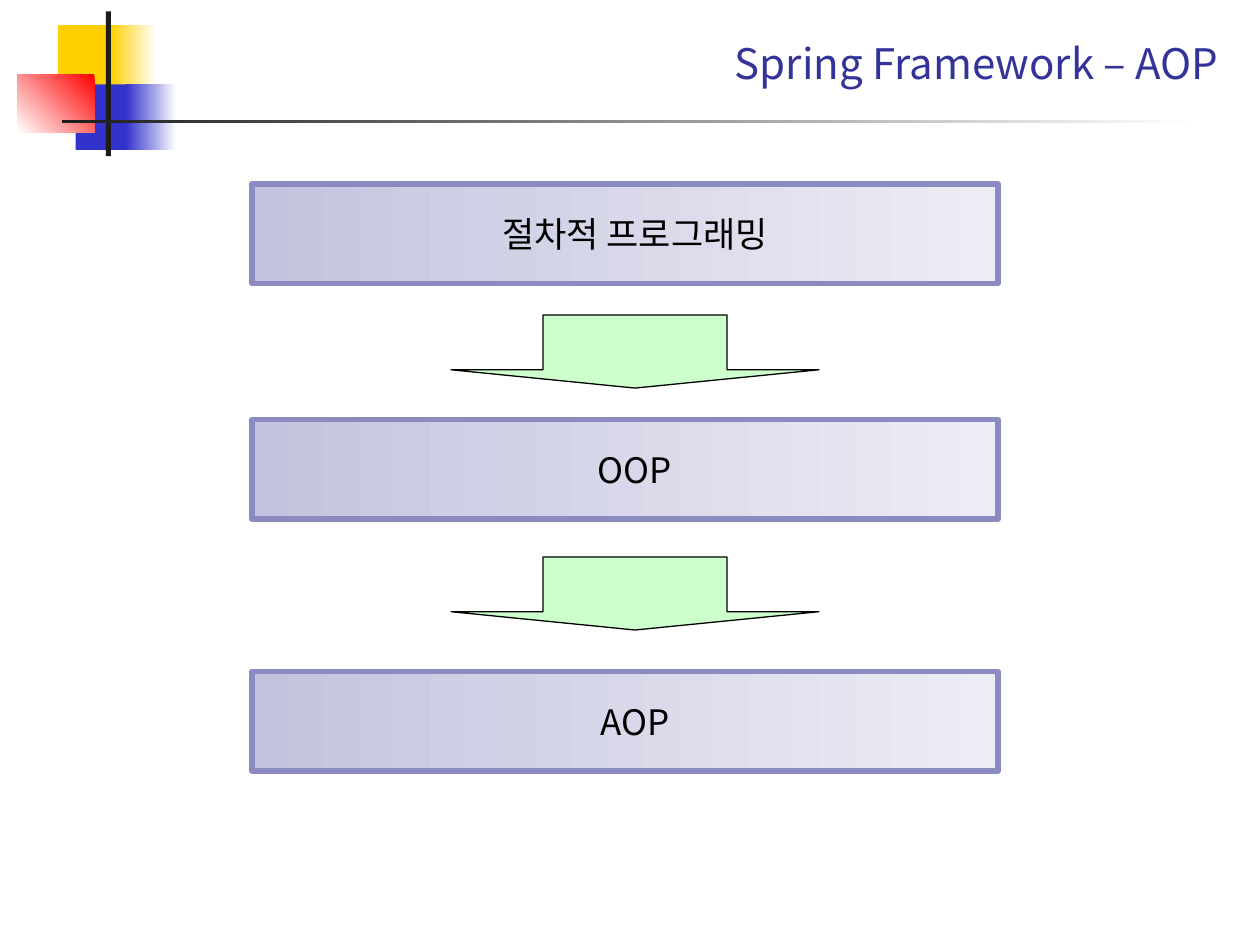
"""Build the slide that leads from procedural code through OOP to AOP."""
from lxml.etree import SubElement
from pptx import Presentation
from pptx.dml.color import RGBColor
from pptx.enum.shapes import MSO_SHAPE as Kind
from pptx.enum.text import MSO_ANCHOR as Anchor, PP_ALIGN as Align
from pptx.oxml.ns import qn
from pptx.util import Inches, Pt

FACE = "Noto Sans CJK KR"
hue = RGBColor.from_string


def draw(kind, spot, fill, turn=180):
    """Add a shape with a plain fill, or a blend when given two colours."""
    shape = deck.add_shape(kind, *map(Inches, spot))
    shape.shadow.inherit = False
    shape.line.fill.background()
    if isinstance(fill, str):
        shape.fill.solid()
        shape.fill.fore_color.rgb = hue(fill)
    else:
        shape.fill.gradient()
        shape.fill.gradient_angle = turn
        for stop, tone in zip(shape.fill.gradient_stops, fill):
            stop.color.rgb = hue(tone)
    return shape


def write(shape, text, size, tone, align, anchor, pads, wrap):
    """Set one line of text and its frame."""
    frame = shape.text_frame
    frame.text = text
    frame.word_wrap = wrap
    frame.vertical_anchor = anchor
    (frame.margin_left, frame.margin_top,
     frame.margin_right, frame.margin_bottom) = map(Inches, pads)
    para = frame.paragraphs[0]
    para.alignment = align
    para.font.size = Pt(size)
    para.font.color.rgb = hue(tone)
    para.font.name = FACE
    props = para._p.get_or_add_pPr().find(qn("a:defRPr"))
    SubElement(props, qn("a:ea"), typeface=FACE)


prs = Presentation()
prs.slide_width, prs.slide_height = Inches(10), Inches(7.5)
slide = prs.slides.add_slide(prs.slide_layouts[5])
deck = slide.shapes

for spot, fill, turn in [
    ((0.46, 0.2, 0.48, 0.52), "FFCF01", 180),
    ((0.88, 0.2, 0.36, 0.52), ("FFFFFF", "FFCF01"), 180),
    ((0.6, 0.67, 0.46, 0.52), "3333CC", 180),
    ((1, 0.67, 0.4, 0.52), ("FFFFFF", "3333CC"), 180),
    ((0.14, 0.59, 0.61, 0.46), ("FF0000", "FFFFFF"), 225),
    ((0.84, 0.09, 0.04, 1.15), "1C1C1C", 180),
    ((0.49, 0.95, 9, 0.03), ("FFFFFF", "1C1C1C"), 180),
]:
    draw(Kind.RECTANGLE, spot, fill, turn)

title = deck.title
title.left, title.top = Inches(1.25), Inches(0.17)
title.width, title.height = Inches(8.52), Inches(0.58)
write(title, "Spring Framework – AOP", 24, "333399", Align.RIGHT,
      Anchor.BOTTOM, (0.1, 0.05, 0.1, 0.05), True)

for top, text in [(1.46, "절차적 프로그래밍"), (3.33, "OOP"), (5.33, "AOP")]:
    box = draw(Kind.RECTANGLE, (2, top, 5.92, 0.79), ("EDEDF5", "C3C3DF"))
    box.line.color.rgb = hue("8B8BC1")
    box.line.width = Pt(3)
    write(box, text, 20, "000000", Align.CENTER,
          Anchor.MIDDLE, (0.71, 0.06, 0.55, 0.06), False)

for top in (2.5, 4.42):
    arrow = draw(Kind.DOWN_ARROW, (3.58, top, 2.92, 0.58), "CCFFCC")
    arrow.adjustments[0], arrow.adjustments[1] = 0.5, 0.25
    arrow.line.color.rgb = hue("000000")
    arrow.line.width = Pt(0.75)

prs.save("out.pptx")
